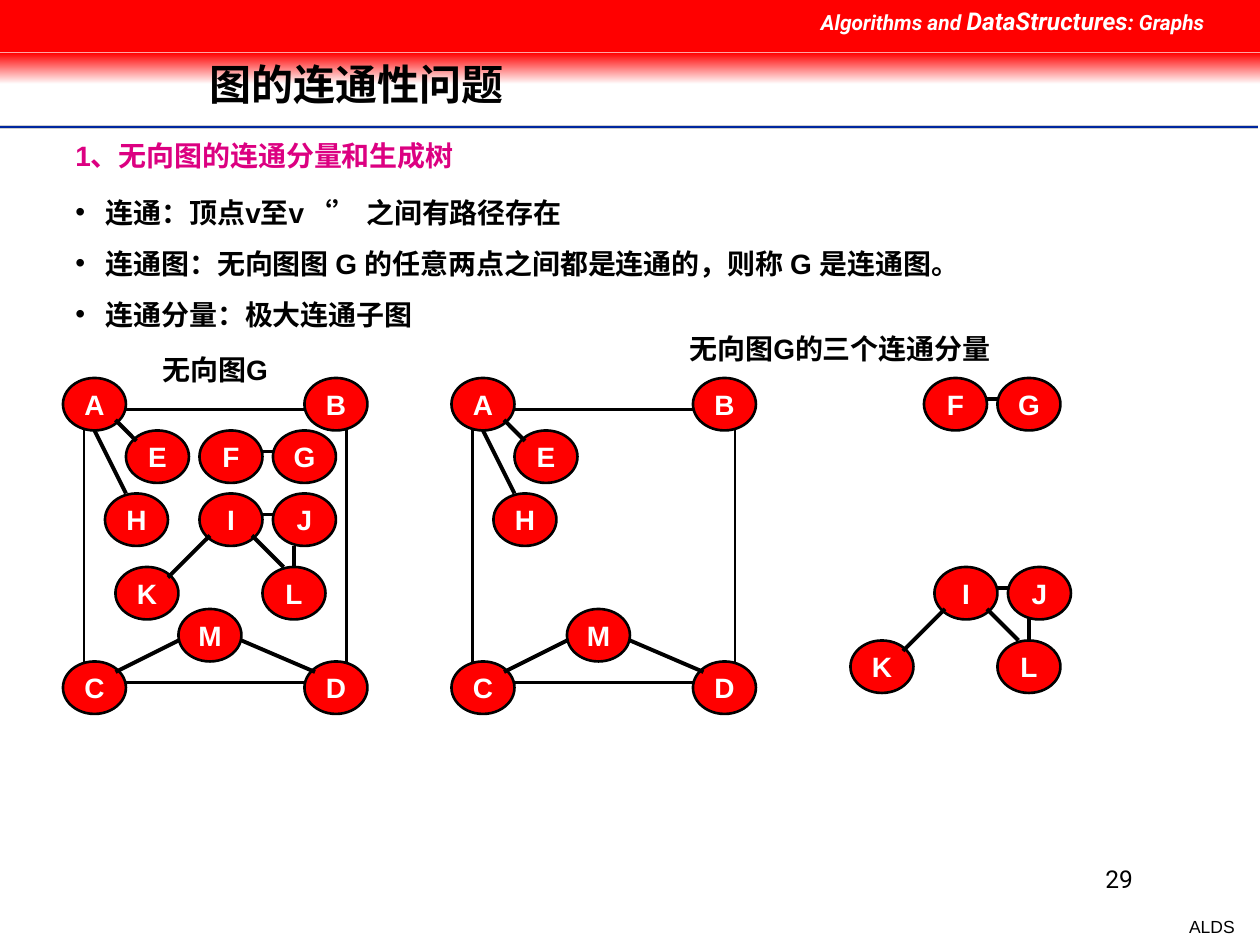
from dataclasses import dataclass

from lxml.etree import SubElement
from pptx import Presentation
from pptx.dml.color import RGBColor as Rgb
from pptx.enum.shapes import MSO_CONNECTOR as Link, MSO_SHAPE as Kind
from pptx.enum.text import MSO_ANCHOR as Anchor, PP_ALIGN as Align
from pptx.oxml.ns import qn
from pptx.util import Cm, Pt


@dataclass(frozen=True)
class Theme:
    red: Rgb = Rgb(255, 0, 0)
    white: Rgb = Rgb(255, 255, 255)
    black: Rgb = Rgb(0, 0, 0)
    pink: Rgb = Rgb(0xDC, 0, 0x81)
    blue: Rgb = Rgb(0, 0x27, 0x9F)
    gray: Rgb = Rgb(0xCE, 0xCE, 0xCE)
    sans: str = "Arial"
    brand: str = "Roboto"
    title: int = 24
    body: int = 16
    page: int = 14
    head: int = 12
    foot: int = 10
    thin: float = 1.5
    thick: float = 2.25


T = Theme()
UNIT = Cm(2.54) // 12
NODE = (6, 5)
NODES = {
    "A": (0, 0), "B": (23, 0), "C": (0, 27), "D": (23, 27), "E": (6, 5),
    "F": (13, 5), "G": (20, 5), "H": (4, 11), "I": (13, 11), "J": (20, 11),
    "K": (5, 18), "L": (19, 18), "M": (11, 22),
}
EDGES = {
    "AB": (6, 3, 23, 3, T.thin), "CD": (6, 29, 23, 29, T.thin),
    "AC": (2, 5, 2, 27, T.thin), "BD": (27, 5, 27, 27, T.thin),
    "LJ": (22, 18, 22, 16, T.thick), "MD": (17, 25, 24, 28, T.thick),
    "CM": (5, 28, 11, 25, T.thick), "AH": (3, 5, 6, 11, T.thick),
    "AE": (5, 4, 7, 6, T.thick), "KI": (10, 19, 14, 15, T.thick),
    "FG": (19, 7, 20, 7, T.thick), "IJ": (19, 13, 20, 13, T.thick),
    "LI": (21, 18, 18, 15, T.thick),
}


def apply(item, **values):
    for name, value in values.items():
        setattr(item, name, value)


def add_run(para, words, size, color, **style):
    run = para.add_run()
    run.text = words
    look = {"name": T.sans, "bold": True, **style}
    apply(run.font, size=Pt(size), **look)
    run.font.color.rgb = color


def add_text(slide, box, runs, color=T.black, align=Align.LEFT, wrap=True,
             **style):
    frame = slide.shapes.add_textbox(*box).text_frame
    frame.word_wrap = wrap
    para = frame.paragraphs[0]
    para.alignment = align
    for words, size in runs:
        add_run(para, words, size, color, **style)
    return frame


def add_line(slide, ends, color, width):
    line = slide.shapes.add_connector(Link.STRAIGHT, *ends)
    line.line.color.rgb = color
    line.line.width = Pt(width)
    SubElement(line._element.spPr, qn("a:effectLst"))


def add_band(slide, box):
    band = slide.shapes.add_shape(Kind.RECTANGLE, *box)
    band.shadow.inherit = False
    band.line.fill.background()
    return band.fill


def header(slide, x, y, w):
    fade = add_band(slide, (x, y + Cm(1.06), w, Cm(0.64)))
    fade.gradient()
    fade.gradient_angle = 270
    for stop, color, spot in zip(fade.gradient_stops, (T.red, T.white), (0, 1)):
        stop.color.rgb = color
        stop.position = spot
    solid = add_band(slide, (x, y, w, Cm(1.06)))
    solid.solid()
    solid.fore_color.rgb = T.red
    for drop, color, width in ((2.56, T.gray, 2), (2.56, T.blue, 1),
                               (2.61, T.white, 1)):
        level = y + Cm(drop)
        add_line(slide, (x, level, x + Cm(25.35), level), color, width)
    course = (("Algorithms and ", T.head), ("DataStructures", T.page),
              (": Graphs", T.head))
    add_text(slide, (x + Cm(16.3), y, Cm(9.1), Cm(0.86)), course, T.white,
             name=T.brand, italic=True)
    title = add_text(slide, (x + Cm(3.97), y + Cm(0.81), Cm(19.18), Cm(1.89)),
                     [("图的连通性问题", T.title)])
    title.vertical_anchor = Anchor.MIDDLE
    title.paragraphs[0].line_spacing = 0.9


def notes(slide, x, y, w):
    add_text(slide, (x, y, w, Cm(0.94)),
             [("1、无向图的连通分量和生成树", T.body)], T.pink)
    points = ("连通：顶点v至v‘’ 之间有路径存在",
              "连通图：无向图图 G 的任意两点之间都是连通的，则称 G 是连通图。",
              "连通分量：极大连通子图")
    frame = add_text(slide, (x, y + Cm(1.14), w, Cm(3)), [])
    for index, words in enumerate(points):
        para = frame.add_paragraph() if index else frame.paragraphs[0]
        para.space_before = Pt(10 if index else 0)
        props = para._p.get_or_add_pPr()
        props.set("marL", str(Cm(0.61)))
        props.set("indent", str(-Cm(0.61)))
        SubElement(props, qn("a:buFont"), typeface=T.sans)
        SubElement(props, qn("a:buChar"), char="•")
        add_run(para, words, T.body, T.black)


def graph(slide, x, y, names):
    for name in names:
        left, top = NODES[name]
        node = slide.shapes.add_shape(
            Kind.OVAL, x + left * UNIT, y + top * UNIT,
            *(side * UNIT for side in NODE))
        node.shadow.inherit = False
        node.fill.solid()
        node.fill.fore_color.rgb = T.red
        node.line.color.rgb = T.black
        node.line.width = Pt(T.thin)
        frame = node.text_frame
        apply(frame, word_wrap=False, vertical_anchor=Anchor.MIDDLE)
        para = frame.paragraphs[0]
        para.alignment = Align.CENTER
        add_run(para, name, T.body, T.white)
    for pair, (x1, y1, x2, y2, width) in EDGES.items():
        if set(pair) <= set(names):
            ends = (x + x1 * UNIT, y + y1 * UNIT, x + x2 * UNIT, y + y2 * UNIT)
            add_line(slide, ends, T.black, width)


def graphs(slide, x, y):
    parts = ((0, 0, "ABCDEFGHIJKLM"), (37, 0, "ABCDEHM"),
             (69, -5, "FG"), (70, 7, "IJKL"))
    for across, down, names in parts:
        graph(slide, x + across * UNIT, y + down * UNIT, names)
    labels = ((57, -5, 34, "无向图G的三个连通分量"), (6, -3, 17, "无向图G"))
    for across, down, wide, words in labels:
        box = (x + across * UNIT, y + down * UNIT, wide * UNIT, Cm(0.94))
        add_text(slide, box, [(words, T.body)], align=Align.CENTER)


def footer(slide, x, y):
    add_text(slide, (x, y, Cm(4.88), Cm(1.27)), [("29", T.page)],
             align=Align.RIGHT, name=T.brand, bold=False)
    add_text(slide, (x + Cm(5.51), y + Cm(1.04), Cm(1.42), Cm(0.69)),
             [("ALDS", T.foot)], align=Align.RIGHT, wrap=False, bold=False)


def main():
    deck = Presentation()
    apply(deck, slide_width=Cm(25.4), slide_height=Cm(19.05))
    slide = deck.slides.add_slide(deck.slide_layouts[6])
    header(slide, 0, 0, deck.slide_width)
    notes(slide, Cm(1.27), Cm(2.67), Cm(22.86))
    graphs(slide, Cm(1.27), Cm(7.62))
    footer(slide, Cm(18.21), Cm(17.3))
    deck.save("out.pptx")


if __name__ == "__main__":
    main()
